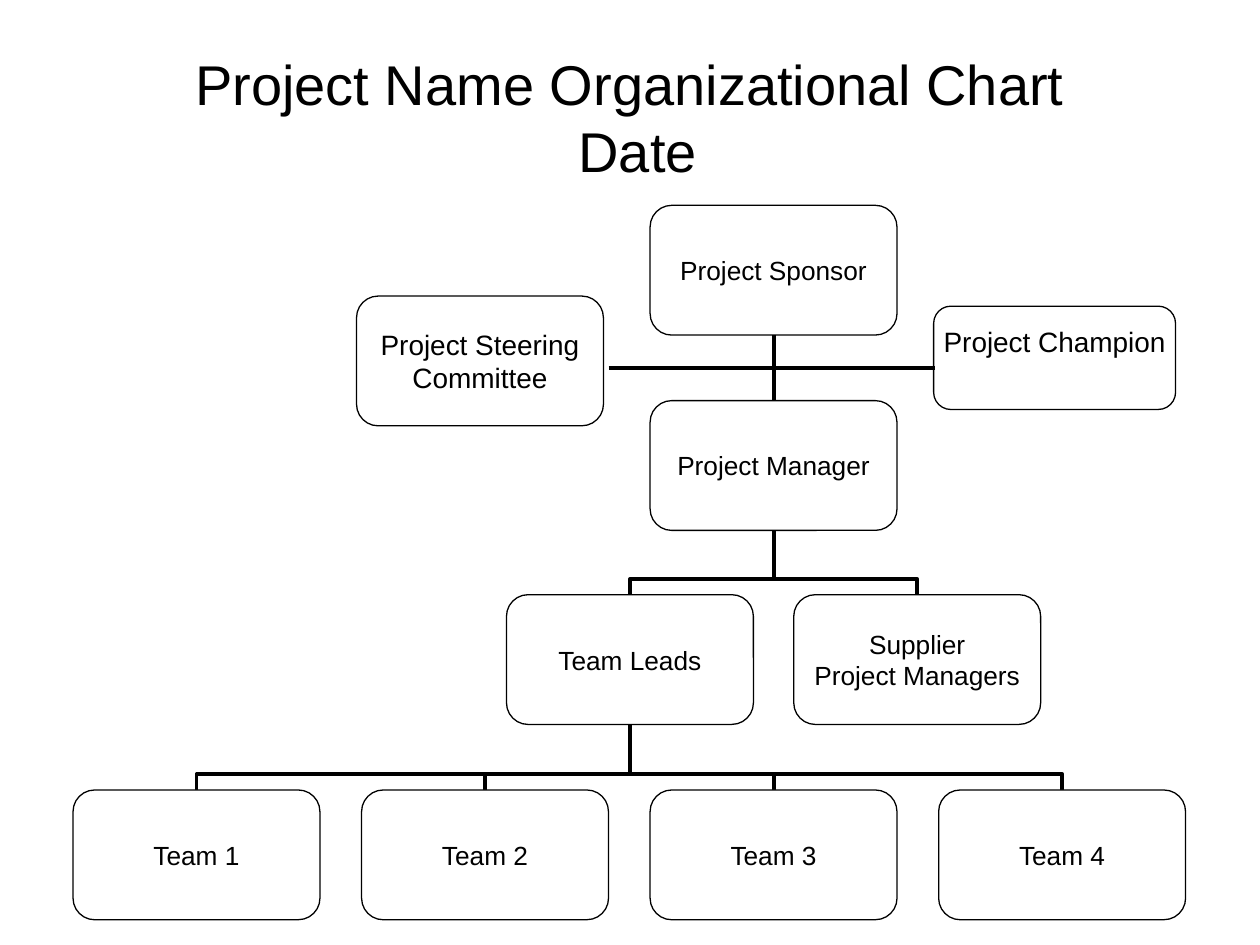
from collections import namedtuple
from dataclasses import dataclass

from lxml import etree
from pptx import Presentation
from pptx import util as u
from pptx.dml.color import RGBColor
from pptx.enum import shapes, text
from pptx.oxml.ns import qn

PX = 9144
Box = namedtuple("Box", "left top width height")


@dataclass(frozen=True)
class Theme:
    """Colours, font and sizes of the chart."""
    ink: RGBColor = RGBColor(0, 0, 0)
    paper: RGBColor = RGBColor(255, 255, 255)
    font: str = "Arial"
    title: int = 32
    role: int = 15
    adviser: int = 16
    outline: float = 0.75
    link: float = 2.25


THEME = Theme()


def emu(*lengths):
    """Turn px lengths into EMU."""
    return [u.Emu(round(length * PX)) for length in lengths]


def write(shape, lines, size, wrap=False, insets=(0, 0, 0, 0)):
    """Write centred paragraphs into a shape."""
    frame = shape.text_frame
    frame.word_wrap = wrap
    frame.vertical_anchor = text.MSO_ANCHOR.MIDDLE
    (frame.margin_left, frame.margin_top,
     frame.margin_right, frame.margin_bottom) = emu(*insets)
    for index, line in enumerate(lines):
        paragraph = frame.add_paragraph() if index else frame.paragraphs[0]
        paragraph.text = line
        paragraph.alignment = text.PP_ALIGN.CENTER
        paragraph.font.size = u.Pt(size)
        for run in paragraph.runs:
            run.font.name = THEME.font
            run.font.size = u.Pt(size)
            run.font.color.rgb = THEME.ink


def add_role(slide, box, lines, size=THEME.role, filled=False, bottom_inset=0):
    """Draw one rounded role box."""
    role = slide.shapes.add_shape(
        shapes.MSO_SHAPE.ROUNDED_RECTANGLE, *emu(*box))
    role.shadow.inherit = False
    if filled:
        role.fill.solid()
        role.fill.fore_color.rgb = THEME.paper
    else:
        role.fill.background()
    role.line.color.rgb = THEME.ink
    role.line.width = u.Pt(THEME.outline)
    write(role, lines, size, insets=(0, 0, 0, bottom_inset))
    return role


def add_link(slide, kind, *ends):
    """Draw a connector between two points."""
    link = slide.shapes.add_connector(kind, *emu(*ends))
    link.line.color.rgb = THEME.ink
    link.line.width = u.Pt(THEME.link)
    etree.SubElement(link._element.spPr, qn("a:effectLst"))
    return link


def add_branch(slide, child, parent):
    """Draw an elbow from the top of a child up to the bottom of its parent."""
    child_x = child.left + child.width / 2
    parent_x = parent.left + parent.width / 2
    parent_y = parent.top + parent.height
    middle_x, middle_y = (child_x + parent_x) / 2, (child.top + parent_y) / 2
    rise, reach = (child.top - parent_y) / 2, (parent_x - child_x) / 2
    branch = add_link(slide, shapes.MSO_CONNECTOR.ELBOW,
                      middle_x - rise, middle_y - reach,
                      middle_x + rise, middle_y + reach)
    branch.rotation = 270
    geometry = branch._element.spPr.find(qn("a:prstGeom"))
    guides = geometry.find(qn("a:avLst"))
    if guides is None:
        guides = etree.SubElement(geometry, qn("a:avLst"))
    etree.SubElement(guides, qn("a:gd"), name="adj1", fmla="val 24200")


def add_title(slide, box):
    """Place the heading."""
    heading = slide.shapes.add_textbox(*emu(*box))
    write(heading, ["Project Name Organizational Chart\v Date"], THEME.title,
          wrap=True, insets=(10, 5, 10, 5))


def add_hierarchy(slide, box):
    """Draw the four levels of roles in the given box."""
    width, height = 196, 103
    column_step = (box.width - width) / 3
    row_step = (box.height - height) / 3

    def cell(column, row):
        """Return the box at a column and row of the grid."""
        return Box(round(box.left + column * column_step),
                   round(box.top + row * row_step), width, height)

    manager, leads, suppliers = cell(2, 1), cell(1.5, 2), cell(2.5, 2)
    teams = [cell(column, 3) for column in range(4)]
    for child in (leads, suppliers):
        add_branch(slide, child, manager)
    for team in teams:
        add_branch(slide, team, leads)

    sponsor_role = add_role(slide, cell(2, 0), ["Project Sponsor"])
    manager_role = add_role(slide, manager, ["Project Manager"])
    add_role(slide, leads, ["Team Leads"])
    add_role(slide, suppliers, ["Supplier", "Project Managers"])
    for number, team in enumerate(teams, 1):
        add_role(slide, team, [f"Team {number}"], filled=True)

    mandate = add_link(slide, shapes.MSO_CONNECTOR.STRAIGHT, 0, 0, 0, 0)
    mandate.begin_connect(sponsor_role, 2)
    mandate.end_connect(manager_role, 0)


def add_advisers(slide, box):
    """Draw the committee and the champion with the line between them."""
    committee = Box(box.left, box.top, 196, box.height)
    champion = Box(box.left + box.width - 192, box.top + 8, 192, 82)
    add_role(slide, champion, ["Project Champion"], THEME.adviser,
             bottom_inset=26)
    add_role(slide, committee, ["Project Steering", "Committee"],
             THEME.adviser)
    line_y = box.top + 57
    add_link(slide, shapes.MSO_CONNECTOR.STRAIGHT,
             committee.left + 200, line_y, champion.left + 1, line_y)


def main():
    """Build and save the organizational chart."""
    deck = Presentation()
    deck.slide_width, deck.slide_height = emu(1000, 750)
    slide = deck.slides.add_slide(deck.slide_layouts[6])
    add_title(slide, Box(0, 30, 1000, 125))
    add_hierarchy(slide, Box(58, 163, 883, 567))
    add_advisers(slide, Box(283, 235, 650, 103))
    deck.save("out.pptx")


if __name__ == "__main__":
    main()
